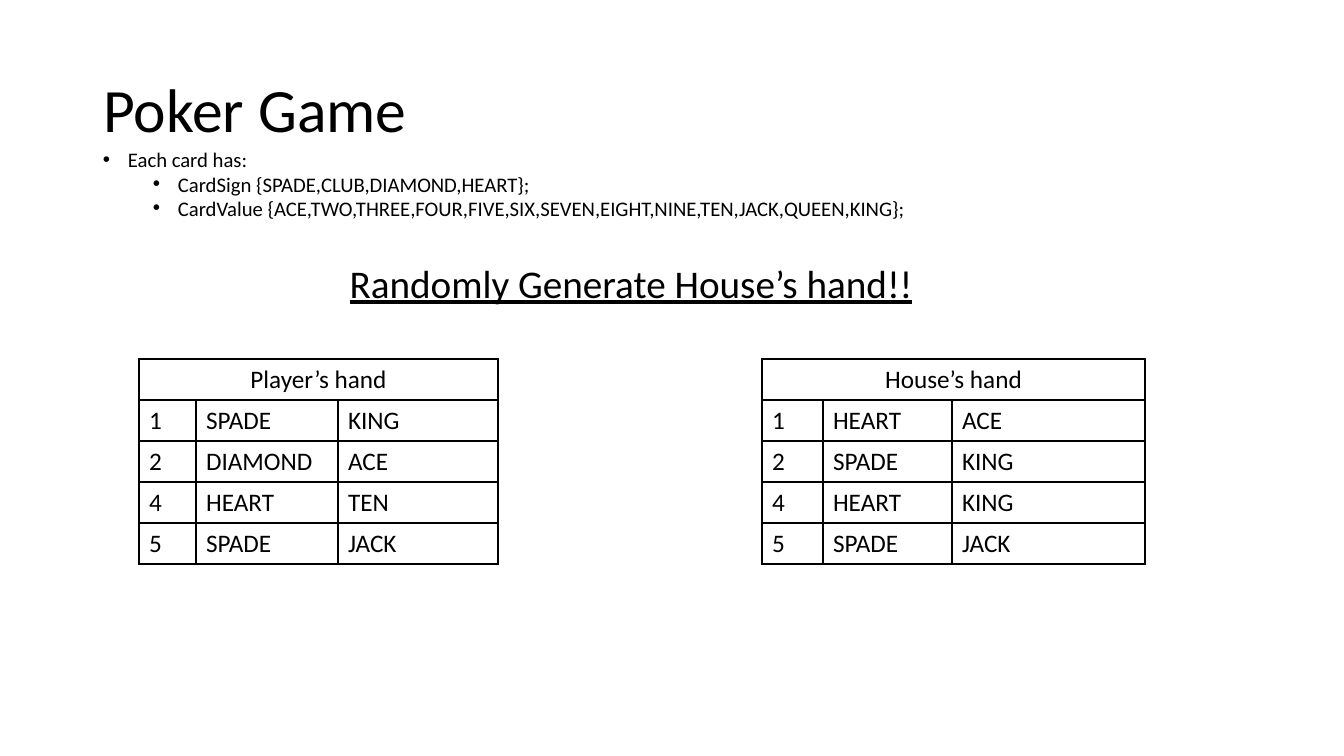
from pptx import Presentation
from pptx.dml.color import RGBColor
from pptx.enum.text import MSO_ANCHOR, MSO_AUTO_SIZE, PP_ALIGN
from pptx.oxml import parse_xml
from pptx.oxml.ns import nsdecls
from pptx.util import Emu, Pt

PIXEL = 914400 / 100.8
FONT = "Calibri"
BLACK = "000000"
WHITE = "FFFFFF"
ROW_HEIGHT = 41

TITLE = ("Poker Game", (93, 40, 1159, 146))
CAPTION = ("Randomly Generate House’s hand!!", (175, 254, 912, 57))
RULES_BOX = (93, 149, 1159, 78)
RULES = [
    (0, "Each card has:"),
    (1, "CardSign {SPADE,CLUB,DIAMOND,HEART};"),
    (1, "CardValue {ACE,TWO,THREE,FOUR,FIVE,SIX,SEVEN,EIGHT,NINE,TEN,JACK,QUEEN,KING};"),
]
HANDS = [
    {
        "name": "Player’s hand",
        "corner": (139, 359),
        "columns": (57, 142, 160),
        "cards": [("1", "SPADE", "KING"), ("2", "DIAMOND", "ACE"),
                  ("4", "HEART", "TEN"), ("5", "SPADE", "JACK")],
    },
    {
        "name": "House’s hand",
        "corner": (762, 359),
        "columns": (61, 129, 193),
        "cards": [("1", "HEART", "ACE"), ("2", "SPADE", "KING"),
                  ("4", "HEART", "KING"), ("5", "SPADE", "JACK")],
    },
]


def px(pixels):
    return Emu(round(pixels * PIXEL))


def color(value):
    return RGBColor.from_string(value)


def add_run(paragraph, text, size, underline=None):
    run = paragraph.add_run()
    run.text = text
    run.font.name = FONT
    run.font.size = Pt(size)
    run.font.color.rgb = color(BLACK)
    run.font.underline = underline


def add_textbox(slide, box):
    frame = slide.shapes.add_textbox(*map(px, box)).text_frame
    frame.word_wrap = True
    return frame


def add_bullet(paragraph, level):
    paragraph.level = level
    properties = paragraph._p.get_or_add_pPr()
    properties.set("marL", str(px(25 + 50 * level)))
    properties.set("indent", str(px(-25)))
    properties.append(parse_xml(f'<a:buFont {nsdecls("a")} typeface="Arial"/>'))
    properties.append(parse_xml(f'<a:buChar {nsdecls("a")} char="•"/>'))


def add_borders(cell):
    properties = cell._tc.get_or_add_tcPr()
    for index, side in enumerate(("lnL", "lnR", "lnT", "lnB")):
        properties.insert(index, parse_xml(
            f'<a:{side} {nsdecls("a")} w="{Pt(1)}"><a:solidFill>'
            f'<a:srgbClr val="{BLACK}"/></a:solidFill></a:{side}>'))


def add_hand(slide, hand):
    rows = [(hand["name"], "", "")] + hand["cards"]
    columns = hand["columns"]
    size = (sum(columns), ROW_HEIGHT * len(rows))
    table = slide.shapes.add_table(
        len(rows), len(columns), *map(px, hand["corner"] + size)).table
    table.first_row = table.horz_banding = False
    for column, width in zip(table.columns, columns):
        column.width = px(width)
    for row, texts in zip(table.rows, rows):
        row.height = px(ROW_HEIGHT)
        for cell, text in zip(row.cells, texts):
            cell.fill.solid()
            cell.fill.fore_color.rgb = color(WHITE)
            add_borders(cell)
            if text:
                add_run(cell.text_frame.paragraphs[0], text, 18)
    heading = table.cell(0, 0)
    heading.merge(table.cell(0, len(columns) - 1))
    heading.text_frame.paragraphs[0].alignment = PP_ALIGN.CENTER


presentation = Presentation()
presentation.slide_width, presentation.slide_height = px(1344), px(756)
slide = presentation.slides.add_slide(presentation.slide_layouts[5])

text, box = TITLE
title = slide.shapes.title
title.left, title.top, title.width, title.height = map(px, box)
title.text_frame.vertical_anchor = MSO_ANCHOR.MIDDLE
title.text_frame.auto_size = MSO_AUTO_SIZE.NONE
paragraph = title.text_frame.paragraphs[0]
paragraph.alignment = PP_ALIGN.LEFT
paragraph.line_spacing = 0.9
add_run(paragraph, text, 44)

frame = add_textbox(slide, RULES_BOX)
for index, (level, text) in enumerate(RULES):
    paragraph = frame.add_paragraph() if index else frame.paragraphs[0]
    paragraph.line_spacing = 0.7
    paragraph.space_before = Pt(5 if level else 10)
    add_bullet(paragraph, level)
    add_run(paragraph, text, 14.8)

for hand in HANDS:
    add_hand(slide, hand)

text, box = CAPTION
paragraph = add_textbox(slide, box).paragraphs[0]
paragraph.alignment = PP_ALIGN.CENTER
add_run(paragraph, text, 28, underline=True)

presentation.save("out.pptx")
